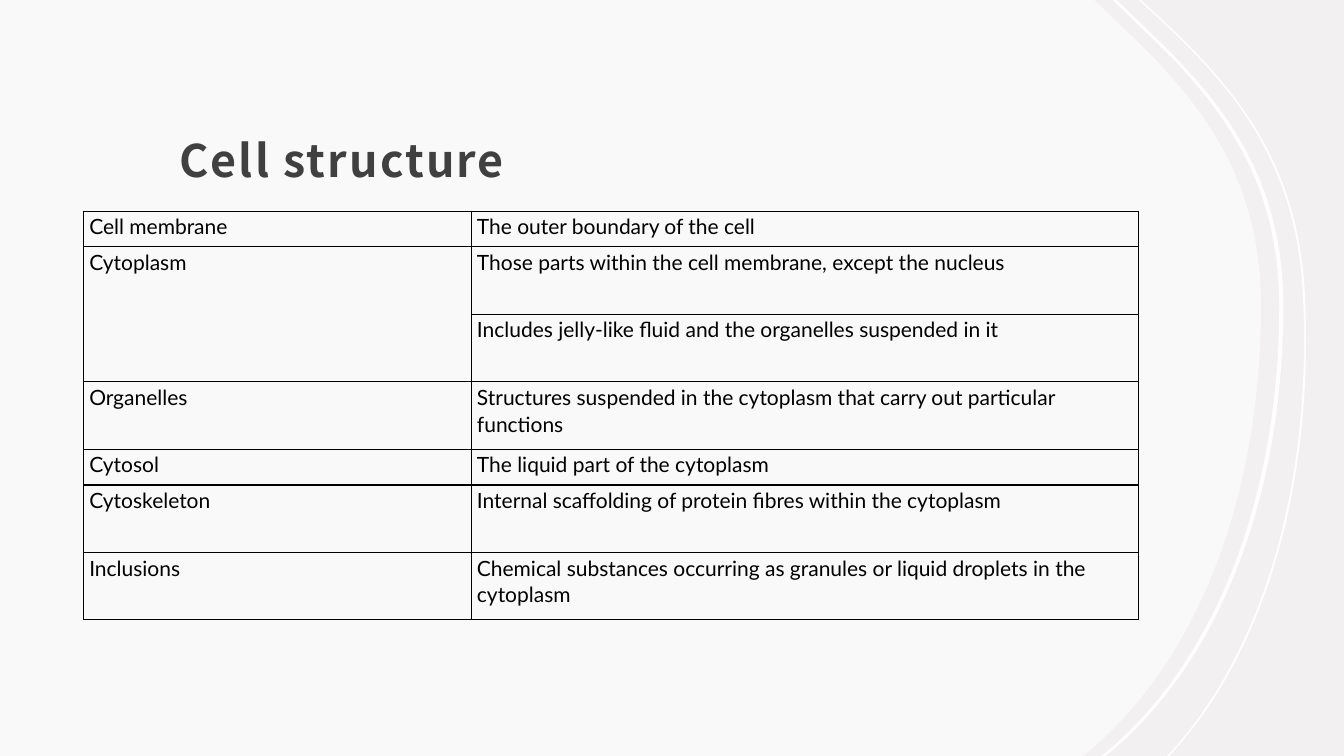
import pptx
import pptx.dml.color
import pptx.enum.text
import pptx.oxml
import pptx.oxml.ns
import pptx.util
from pptx.util import Cm

COLORS = {
    "backdrop": "F3F0F1",
    "white": "FFFFFF",
    "title": "404040",
    "text": "000000",
    "border": "000000",
}
SLIDE_SIZE = (33.87, 19.05)

# Edges run top to bottom in cm: point, point, three curve points, three curve points, point
PANEL_EDGE = [(27.58, 0), (28.5, 0.89), (30.33, 2.64), (31.78, 4.55), (31.78, 7.72),
              (31.78, 12.5), (30.18, 16.69), (27.36, 19), (27.28, 19.05)]
OUTER_EDGE = [(28.7, 0), (29.36, 0.61), (31.22, 2.36), (32.72, 4.27), (32.84, 7.54),
              (33.05, 12.19), (31.85, 16.38), (29.49, 18.97), (29.41, 19.05)]
CURVE_STARTS = (2, 5)

TALL, LOW = 1.7, 0.9
CELL_PARTS = [
    ("Cell membrane", "The outer boundary of the cell", LOW),
    ("Cytoplasm", "Those parts within the cell membrane, except the nucleus", TALL),
    ("", "Includes jelly-like fluid and the organelles suspended in it", TALL),
    ("Organelles", "Structures suspended in the cytoplasm that carry out particular functions", TALL),
    ("Cytosol", "The liquid part of the cytoplasm", LOW),
    ("Cytoskeleton", "Internal scaffolding of protein fibres within the cytoplasm", TALL),
    ("Inclusions", "Chemical substances occurring as granules or liquid droplets in the cytoplasm", TALL),
]
COLUMN_WIDTHS = (9.77, 16.81)


def rgb(name):
    return pptx.dml.color.RGBColor.from_string(COLORS[name])


def shifted(edge, distance):
    return [(x + distance, y) for x, y in edge]


def bend(outline, first):
    """Join three straight segments, counted from first, into one cubic curve."""
    qn = pptx.oxml.ns.qn
    curve = pptx.oxml.parse_xml(f'<a:cubicBezTo {pptx.oxml.ns.nsdecls("a")}/>')
    segments = outline[first:first + 3]
    outline.insert(first, curve)
    for segment in segments:
        curve.append(segment.find(qn("a:pt")))
        outline.remove(segment)


def add_outline(slide, points, edge_starts):
    corners = [(Cm(x), Cm(y)) for x, y in points]
    builder = slide.shapes.build_freeform(*corners[0])
    builder.add_line_segments(corners[1:], close=True)
    shape = builder.convert_to_shape()
    outline = shape._element.spPr.find(".//" + pptx.oxml.ns.qn("a:path"))
    for edge_start in reversed(edge_starts):
        for curve_start in reversed(CURVE_STARTS):
            bend(outline, edge_start + curve_start)
    shape.shadow.inherit = False
    shape.fill.solid()
    shape.fill.fore_color.rgb = rgb("white")
    shape.line.fill.background()
    return shape


def add_backdrop(slide, height):
    """Translucent panel behind the title, with two thin curved bands beside it."""
    slide.background.fill.solid()
    slide.background.fill.fore_color.rgb = rgb("backdrop")
    panel = add_outline(slide, PANEL_EDGE + [(0, height), (0, 0)], [0])
    white = panel._element.spPr.find(".//" + pptx.oxml.ns.qn("a:srgbClr"))
    white.append(pptx.oxml.parse_xml(
        f'<a:alpha {pptx.oxml.ns.nsdecls("a")} val="60000"/>'))
    slide.shapes._spTree.insert(2, panel._element)
    for edge, shift, width in ((OUTER_EDGE, 0, 0.05), (PANEL_EDGE, 0.46, 0.1)):
        band = shifted(edge, shift) + shifted(edge, shift + width)[::-1]
        add_outline(slide, band, [0, len(edge)])


def add_title(slide, left, top, width, height):
    title = slide.shapes.title
    title.left, title.top, title.width, title.height = map(Cm, (left, top, width, height))
    frame = title.text_frame
    frame.text = "Cell structure"
    frame.word_wrap = True
    frame.auto_size = pptx.enum.text.MSO_AUTO_SIZE.NONE
    frame.vertical_anchor = pptx.enum.text.MSO_ANCHOR.BOTTOM
    frame.margin_left = frame.margin_right = frame.margin_top = Cm(0.3)
    frame.margin_bottom = Cm(0.25)
    heading = frame.paragraphs[0]
    heading.alignment = pptx.enum.text.PP_ALIGN.LEFT
    heading.line_spacing = 1.3
    font = heading.runs[0].font
    font.name, font.size, font.bold = "Noto Sans CJK JP", pptx.util.Pt(32), True
    font.color.rgb = rgb("title")
    heading.runs[0]._r.get_or_add_rPr().set("spc", "150")


def format_cell(cell, text):
    cell.margin_left = cell.margin_right = Cm(0.14)
    cell.margin_top, cell.margin_bottom = Cm(0.03), 0
    for side in ("lnL", "lnR", "lnT", "lnB"):
        cell._tc.get_or_add_tcPr().append(pptx.oxml.parse_xml(
            f'<a:{side} {pptx.oxml.ns.nsdecls("a")} w="12700"><a:solidFill>'
            f'<a:srgbClr val="{COLORS["border"]}"/></a:solidFill></a:{side}>'))
    cell.fill.background()
    cell.text_frame.text = text
    entry = cell.text_frame.paragraphs[0]
    entry.line_spacing = 1.07
    entry.space_after = pptx.util.Pt(8)
    for run in entry.runs:
        run.font.name, run.font.size = "Lato", pptx.util.Pt(15)
        run.font.color.rgb = rgb("text")


def add_parts_table(slide, left, top):
    """Terms and meanings; a row without a term belongs to the term above."""
    width = sum(COLUMN_WIDTHS)
    height = sum(row_height for _, _, row_height in CELL_PARTS)
    table = slide.shapes.add_table(len(CELL_PARTS), 2, *map(Cm, (left, top, width, height))).table
    table.first_row = table.horz_banding = False
    for column, column_width in zip(table.columns, COLUMN_WIDTHS):
        column.width = Cm(column_width)
    for row, (term, meaning, row_height) in enumerate(CELL_PARTS):
        table.rows[row].height = Cm(row_height)
        format_cell(table.cell(row, 0), term)
        format_cell(table.cell(row, 1), meaning)
        if not term:
            table.cell(row - 1, 0).merge(table.cell(row, 0))


def main():
    deck = pptx.Presentation()
    deck.slide_width, deck.slide_height = map(Cm, SLIDE_SIZE)
    slide = deck.slides.add_slide(deck.slide_layouts.get_by_name("Title Only"))
    add_backdrop(slide, SLIDE_SIZE[1])
    add_title(slide, 4.22, 1.22, 21.72, 3.73)
    add_parts_table(slide, 2.11, 5.32)
    deck.save("out.pptx")


if __name__ == "__main__":
    main()
